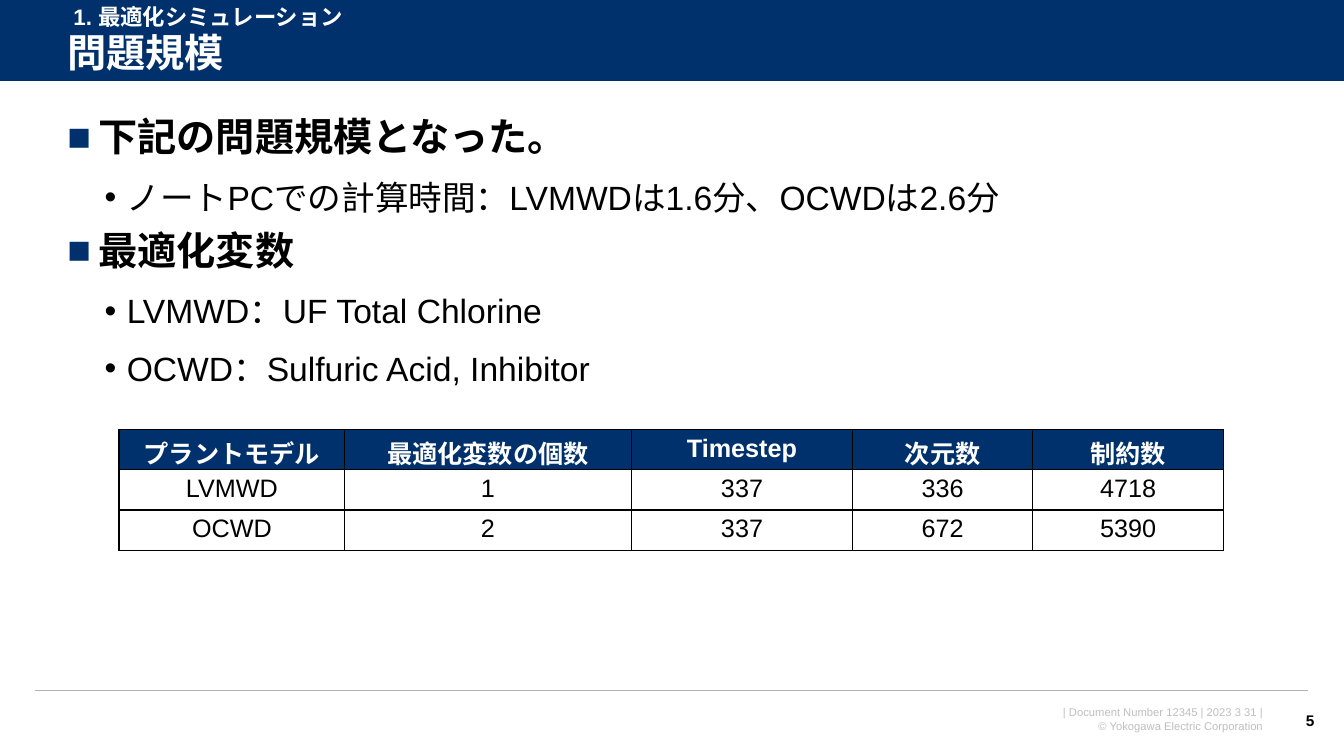
from lxml.etree import SubElement
from pptx import Presentation
from pptx.dml.color import RGBColor
from pptx.enum.shapes import MSO_CONNECTOR as Connector, MSO_SHAPE as Shape
from pptx.enum.text import MSO_ANCHOR as Anchor, PP_ALIGN as Align
from pptx.oxml.ns import qn
from pptx.util import Pt

COLORS = {"navy": "00316C", "white": "FFFFFF", "black": "000000",
          "rule": "B2B2B2", "footer": "BFBFBF"}
WIDTH, HEIGHT = 960, 540

BULLETS = [
    (0, "下記の問題規模となった。"),
    (1, "ノートPCでの計算時間：LVMWDは1.6分、OCWDは2.6分"),
    (0, "最適化変数"),
    (1, "LVMWD：UF Total Chlorine"),
    (1, "OCWD：Sulfuric Acid, Inhibitor"),
]
# level: left margin, hanging indent, size, bold, space before, line spacing
LEVELS = {0: (22.3, 22.3, 28, True, 10, 0.9), 1: (42.5, 15.8, 24, False, 12, 1)}

COLUMN_WIDTHS = [161.3, 204.5, 158.4, 128.2, 136.8]
ROW_HEIGHT = 28.8
MODELS = [
    ["プラントモデル", "最適化変数の個数", "Timestep", "次元数", "制約数"],
    ["LVMWD", "1", "337", "336", "4718"],
    ["OCWD", "2", "337", "672", "5390"],
]


def rgb(name):
    return RGBColor.from_string(COLORS[name])


def style(font, size, color, bold=False):
    font.name = "Arial"
    font.size = Pt(size)
    font.bold = bold
    font.color.rgb = rgb(color)


def add_span(para, text, size, color, bold=False):
    span = para.add_run()
    span.text = text
    style(span.font, size, color, bold)


def add_box(page, left, top, width, height):
    box = page.shapes.add_textbox(Pt(left), Pt(top), Pt(width), Pt(height))
    box.text_frame.word_wrap = True
    return box.text_frame


def add_rule(page, left, right, y, color, weight):
    rule = page.shapes.add_connector(Connector.STRAIGHT, Pt(left), Pt(y), Pt(right), Pt(y))
    rule.line.color.rgb = rgb(color)
    rule.line.width = Pt(weight)
    SubElement(rule._element.spPr, qn("a:effectLst"))


def add_header(page, left, top, width, height):
    band = page.shapes.add_shape(Shape.RECTANGLE, Pt(left), Pt(top), Pt(width), Pt(height))
    band.shadow.inherit = False
    band.fill.solid()
    band.fill.fore_color.rgb = rgb("navy")
    band.line.fill.background()
    add_rule(page, left, left + width, top + height, "white", 0.75)

    # Title, kept in front of the band
    title = page.shapes.title
    page.shapes._spTree.append(title._element)
    title.left, title.top = Pt(left + 41), Pt(top + 18.7)
    title.width, title.height = Pt(width - 62), Pt(41)
    title.text_frame.vertical_anchor = Anchor.MIDDLE
    para = title.text_frame.paragraphs[0]
    para.alignment = Align.LEFT
    para.line_spacing = 0.9
    add_span(para, "問題規模", 28, "white", True)

    # Section label
    label = add_box(page, left + 45.4, top - 1.4, 223.2, 26.6)
    add_span(label.paragraphs[0], "1. 最適化シミュレーション", 16, "white", True)


def add_bullets(page, left, top, width, height):
    frame = add_box(page, left, top, width, height)
    for index, (level, text) in enumerate(BULLETS):
        margin, hanging, size, bold, before, spacing = LEVELS[level]
        para = frame.paragraphs[0] if index == 0 else frame.add_paragraph()
        para.level = level
        para.line_spacing = spacing
        para.space_before = Pt(before if index else 0)
        props = para._p.get_or_add_pPr()
        props.set("marL", str(Pt(margin)))
        props.set("indent", str(-Pt(hanging)))
        if level == 0:
            color = SubElement(props, qn("a:buClr"))
            SubElement(color, qn("a:srgbClr"), val=COLORS["navy"])
        SubElement(props, qn("a:buFont"), typeface="Arial")
        SubElement(props, qn("a:buChar"), char="•" if level else "■")
        add_span(para, text, size, "black", bold)


def add_borders(cell):
    props = cell._tc.get_or_add_tcPr()
    for position, side in enumerate(("a:lnL", "a:lnR", "a:lnT", "a:lnB")):
        border = props.makeelement(qn(side), {"w": str(Pt(1))})
        fill = SubElement(border, qn("a:solidFill"))
        SubElement(fill, qn("a:srgbClr"), val=COLORS["black"])
        props.insert(position, border)


def add_model_table(page, left, top):
    rows, columns = len(MODELS), len(COLUMN_WIDTHS)
    table = page.shapes.add_table(rows, columns, Pt(left), Pt(top),
                                  Pt(sum(COLUMN_WIDTHS)), Pt(rows * ROW_HEIGHT)).table
    table.horz_banding = False
    for column, width in zip(table.columns, COLUMN_WIDTHS):
        column.width = Pt(width)
    for row_index, values in enumerate(MODELS):
        table.rows[row_index].height = Pt(ROW_HEIGHT)
        is_head = row_index == 0
        for column_index, value in enumerate(values):
            cell = table.cell(row_index, column_index)
            cell.margin_bottom = 0
            cell.fill.solid()
            cell.fill.fore_color.rgb = rgb("navy" if is_head else "white")
            add_borders(cell)
            para = cell.text_frame.paragraphs[0]
            para.alignment = Align.CENTER
            add_span(para, value, 18, "white" if is_head else "black", is_head)


def add_footer(page, left, top, width):
    add_rule(page, left, left + width, top, "rule", 1)

    # Document details
    details = add_box(page, left + 657.4, top + 7.2, 231.1, 26.6)
    first, second = details.paragraphs[0], details.add_paragraph()
    first.alignment = second.alignment = Align.RIGHT
    first._p.get_or_add_pPr().set("marR", str(Pt(4.4)))
    add_span(first, "| Document Number 12345 | 2023 3 31 |", 8, "footer")
    add_span(second, "© Yokogawa Electric Corporation", 8, "footer")

    # Page number
    number = add_box(page, left + 889.2, top + 7.2, 31.7, 28.8)
    number.vertical_anchor = Anchor.MIDDLE
    number.paragraphs[0].alignment = Align.RIGHT
    add_span(number.paragraphs[0], "5", 11, "black", True)


def main():
    deck = Presentation()
    deck.slide_width, deck.slide_height = Pt(WIDTH), Pt(HEIGHT)
    page = deck.slides.add_slide(deck.slide_layouts[5])
    add_header(page, 0, 0, WIDTH, 58.3)
    add_bullets(page, 41, 80.6, 905, 43.2)
    add_model_table(page, 85, 306.7)
    add_footer(page, 25.2, 493.2, 909.4)
    deck.save("out.pptx")


if __name__ == "__main__":
    main()
